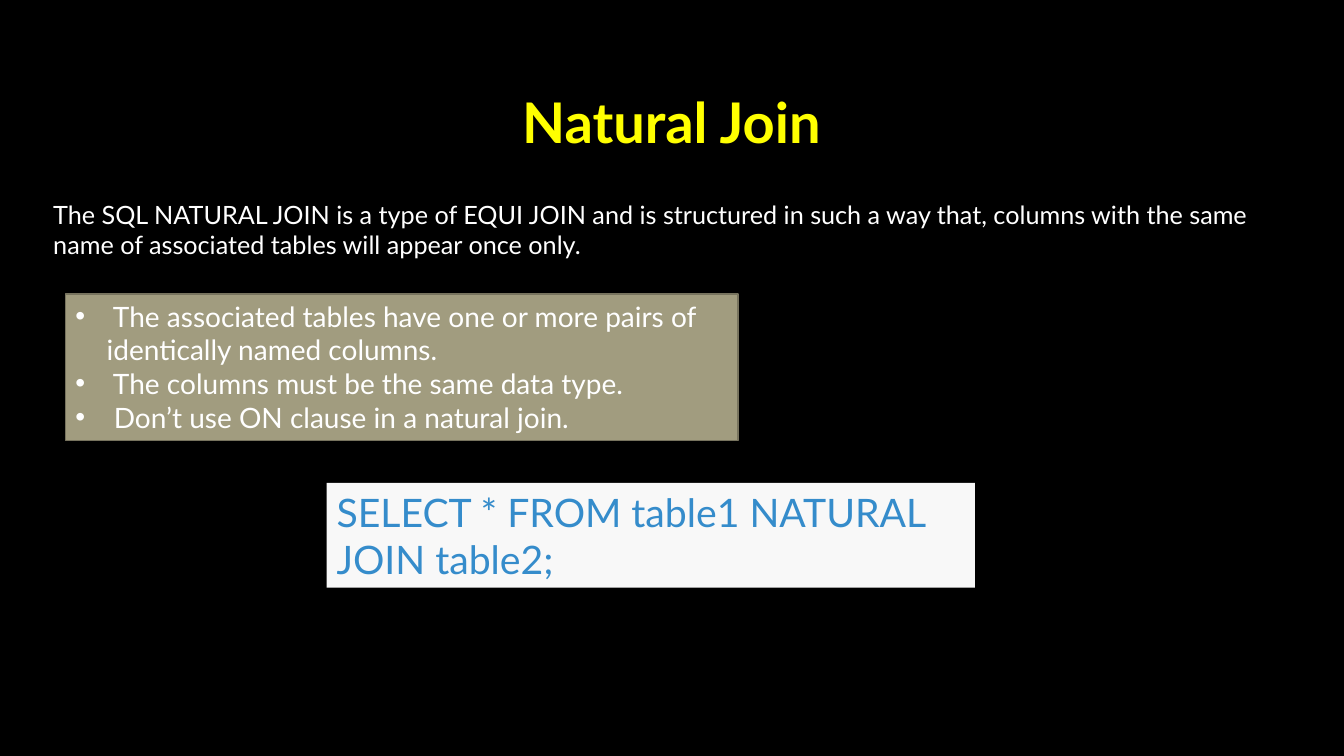
from dataclasses import dataclass
from typing import Optional

from lxml import etree
from pptx import Presentation
from pptx.dml.color import RGBColor
from pptx.enum.shapes import MSO_SHAPE
from pptx.enum.text import MSO_ANCHOR, MSO_AUTO_SIZE, PP_ALIGN
from pptx.oxml.ns import qn
from pptx.util import Inches, Pt

RECT = MSO_SHAPE.RECTANGLE
TOP, MIDDLE = MSO_ANCHOR.TOP, MSO_ANCHOR.MIDDLE
LEFT, CENTER = PP_ALIGN.LEFT, PP_ALIGN.CENTER
NO_FIT = MSO_AUTO_SIZE.NONE
TITLE_ONLY = 5


@dataclass(frozen=True)
class Theme:
    """Font, colours and type sizes of the slide."""
    font: str = "Lato"
    back: str = "000000"
    title: str = "FFFF00"
    text: str = "FFFFFF"
    rules: str = "A19C7F"
    edge: str = "77735E"
    code: str = "358CCB"
    panel: str = "F8F8F8"
    title_size: int = 40
    intro_size: int = 18
    rules_size: int = 20
    code_size: int = 28
    edge_width: float = 1.25
    indent: float = 0.31


@dataclass(frozen=True)
class Block:
    """A block of text with its place and look."""
    box: tuple[float, float, float, float]
    lines: tuple[str, ...]
    size: int
    color: str
    fill: Optional[str] = None
    edge: Optional[str] = None
    anchor: MSO_ANCHOR = TOP
    align: PP_ALIGN = LEFT
    bold: bool = False
    bullet: bool = False


THEME = Theme()

TITLE = Block((1, 0.67, 11.32, 1.06), ("Natural Join",), THEME.title_size,
              THEME.title, anchor=MIDDLE, align=CENTER, bold=True)
BLOCKS = (
    Block((0.43, 1.93, 12.26, 0.71),
          ("The SQL NATURAL JOIN is a type of EQUI JOIN and is structured in "
           "such a way that, columns with the same name of associated tables "
           "will appear once only.",),
          THEME.intro_size, THEME.text),
    Block((0.65, 2.92, 6.67, 1.45),
          (" The associated tables have one or more pairs of identically "
           "named columns.",
           " The columns must be the same data type.",
           " Don’t use ON clause in a natural join."),
          THEME.rules_size, THEME.text, THEME.rules, THEME.edge, bullet=True),
    Block((3.24, 4.79, 6.43, 1.04),
          ("SELECT * FROM table1 NATURAL JOIN table2; ",),
          THEME.code_size, THEME.code, THEME.panel, anchor=MIDDLE),
)


def rgb(code: str) -> RGBColor:
    """Turn a hex code into a colour."""
    return RGBColor.from_string(code)


def add_bullet(para) -> None:
    """Give a paragraph a hanging bullet."""
    props = para._p.get_or_add_pPr()
    props.set("marL", str(Inches(THEME.indent)))
    props.set("indent", str(-Inches(THEME.indent)))
    font = etree.SubElement(props, qn("a:buFont"))
    font.set("typeface", "Arial")
    mark = etree.SubElement(props, qn("a:buChar"))
    mark.set("char", "•")


def write(shape, block: Block) -> None:
    """Fill a shape with the lines of a block."""
    frame = shape.text_frame
    frame.word_wrap = True
    frame.auto_size = NO_FIT
    frame.vertical_anchor = block.anchor
    for index, line in enumerate(block.lines):
        para = frame.add_paragraph() if index else frame.paragraphs[0]
        para.alignment = block.align
        if block.bullet:
            add_bullet(para)
        run = para.add_run()
        run.text = line
        font = run.font
        font.name = THEME.font
        font.size = Pt(block.size)
        font.bold = block.bold
        font.color.rgb = rgb(block.color)


def add_block(slide, block: Block) -> None:
    """Draw a block as a text box or a filled panel."""
    box = map(Inches, block.box)
    if block.fill is None:
        shape = slide.shapes.add_textbox(*box)
    else:
        shape = slide.shapes.add_shape(RECT, *box)
        shape.shadow.inherit = False
        shape.fill.solid()
        shape.fill.fore_color.rgb = rgb(block.fill)
        if block.edge is None:
            shape.line.fill.background()
        else:
            shape.line.color.rgb = rgb(block.edge)
            shape.line.width = Pt(THEME.edge_width)
    write(shape, block)


def set_title(slide, block: Block) -> None:
    """Move and format the title placeholder."""
    title = slide.shapes.title
    title.left, title.top, title.width, title.height = map(Inches, block.box)
    write(title, block)


def main() -> None:
    """Build and save the slide."""
    deck = Presentation()
    deck.slide_width, deck.slide_height = Inches(13.33), Inches(7.5)
    slide = deck.slides.add_slide(deck.slide_layouts[TITLE_ONLY])
    back = slide.background.fill
    back.solid()
    back.fore_color.rgb = rgb(THEME.back)
    set_title(slide, TITLE)
    for block in BLOCKS:
        add_block(slide, block)
    deck.save("out.pptx")


main()
